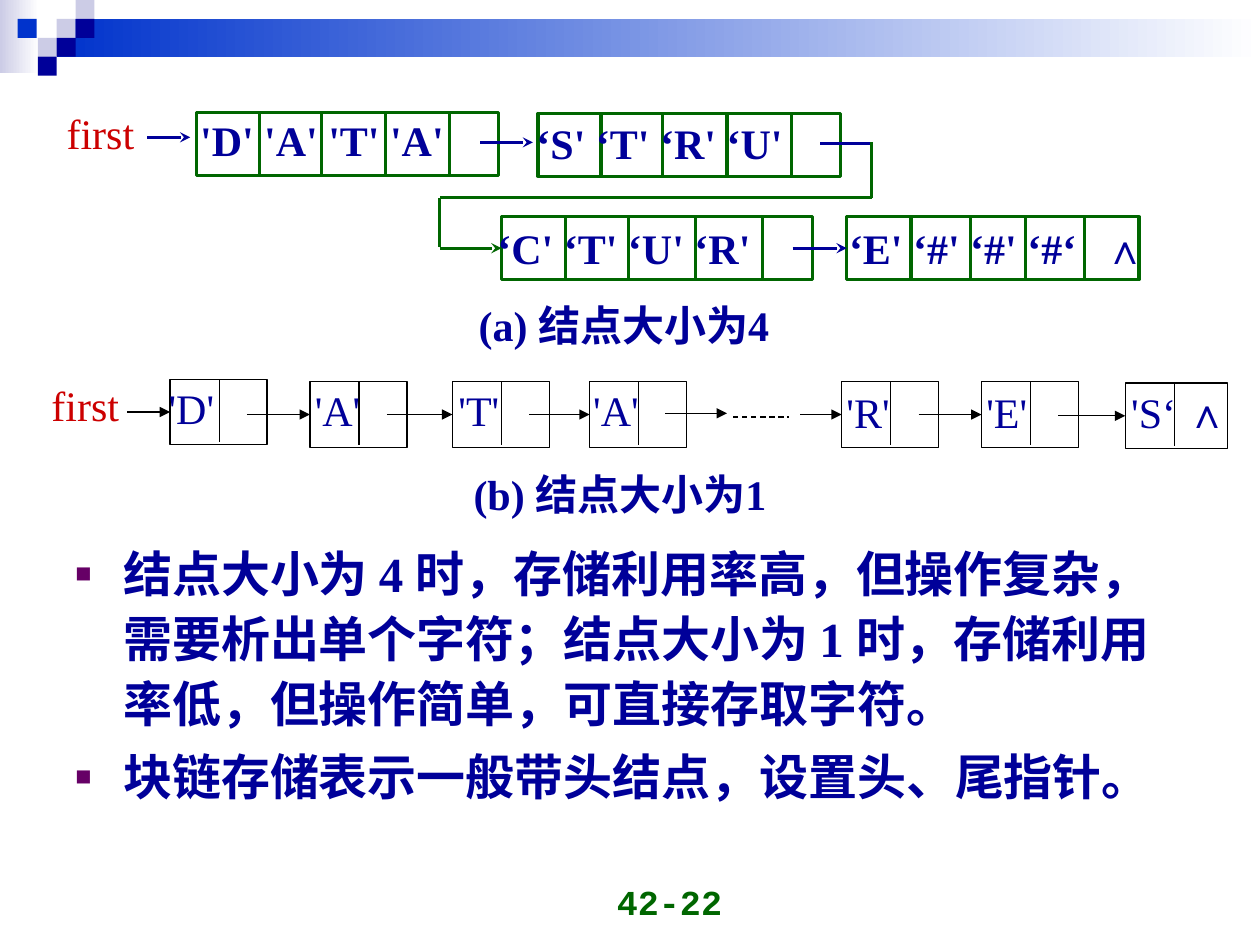
"""Build the slide comparing linked string storage with node sizes 4 and 1."""
from dataclasses import dataclass
from itertools import pairwise

from lxml.etree import SubElement
from pptx import Presentation
from pptx.dml.color import RGBColor
from pptx.enum.dml import MSO_LINE
from pptx.enum.shapes import MSO_CONNECTOR, MSO_SHAPE
from pptx.enum.text import MSO_ANCHOR, PP_ALIGN
from pptx.oxml.ns import qn
from pptx.util import Inches, Pt


@dataclass(frozen=True)
class Theme:
    navy: str = "000099"
    blue: str = "0033CC"
    lilac: str = "CCCCE6"
    green: str = "006600"
    red: str = "CC0000"
    purple: str = "660066"
    black: str = "000000"
    white: str = "FFFFFF"
    serif: str = "Times New Roman"
    sans: str = "Arial"
    mono: str = "Courier New"
    label_size: float = 24
    body_size: float = 28
    page_size: float = 20
    thin: float = 0.75
    thick: float = 1.75


class SlideBuilder:
    def __init__(self, slide, theme):
        self.slide = slide
        self.theme = theme

    def rect(self, left, top, width, height, fill=None, fade=None, line=None, weight=0.75):
        shape = self.slide.shapes.add_shape(
            MSO_SHAPE.RECTANGLE, Inches(left), Inches(top), Inches(width), Inches(height))
        shape.shadow.inherit = False
        if fade:
            shape.fill.gradient()
            shape.fill.gradient_angle = 0
            for position, (stop, color) in enumerate(zip(shape.fill.gradient_stops, fade)):
                stop.position = position
                stop.color.rgb = RGBColor.from_string(color)
        elif fill:
            shape.fill.solid()
            shape.fill.fore_color.rgb = RGBColor.from_string(fill)
        else:
            shape.fill.background()
        if line:
            shape.line.color.rgb = RGBColor.from_string(line)
            shape.line.width = Pt(weight)
        else:
            shape.line.fill.background()
        return shape

    def line(self, start, end, color, weight, head=None, dash=None, target=None):
        connector = self.slide.shapes.add_connector(
            MSO_CONNECTOR.STRAIGHT, *map(Inches, start), *map(Inches, end))
        connector.line.color.rgb = RGBColor.from_string(color)
        connector.line.width = Pt(weight)
        if dash:
            connector.line.dash_style = dash
        if head:
            SubElement(connector.line._get_or_add_ln(), qn("a:tailEnd"), type=head)
        SubElement(connector._element.spPr, qn("a:effectLst"))
        if target is not None:
            connector.end_connect(target, 1)

    def arrow_into(self, target, left, color, weight, head):
        middle = (target.top + target.height / 2) / Inches(1)
        self.line((left, middle), (target.left / Inches(1), middle), color, weight, head,
                  target=target)

    def text(self, left, top, width, height, runs, color=None, bold=False, font=None,
             size=None, align=PP_ALIGN.JUSTIFY, anchor=MSO_ANCHOR.TOP, tab=None):
        box = self.slide.shapes.add_textbox(
            Inches(left), Inches(top), Inches(width), Inches(height))
        frame = box.text_frame
        frame.word_wrap = True
        frame.vertical_anchor = anchor
        paragraph = frame.paragraphs[0]
        paragraph.alignment = align
        if tab:
            stops = SubElement(paragraph._p.get_or_add_pPr(), qn("a:tabLst"))
            SubElement(stops, qn("a:tab"), pos=str(Inches(tab)), algn="l")
        for words in runs:
            run = paragraph.add_run()
            run.text = words
            null_mark = words == "∧"
            run.font.name = self.theme.sans if null_mark else font or self.theme.serif
            run.font.size = Pt(size or self.theme.label_size)
            run.font.bold = bold or null_mark
            run.font.color.rgb = RGBColor.from_string(color or self.theme.navy)

    def bullets(self, left, top, width, height, points):
        theme = self.theme
        box = self.slide.shapes.add_textbox(
            Inches(left), Inches(top), Inches(width), Inches(height))
        frame = box.text_frame
        frame.word_wrap = True
        frame.text = "\n".join(points)
        for index, paragraph in enumerate(frame.paragraphs):
            paragraph.line_spacing = 1.1
            if index:
                paragraph.space_before = Pt(5.2)
            properties = paragraph._p.get_or_add_pPr()
            properties.set("marL", str(Inches(0.38)))
            properties.set("indent", str(Inches(-0.38)))
            SubElement(SubElement(properties, qn("a:buClr")), qn("a:srgbClr"), val=theme.purple)
            SubElement(properties, qn("a:buSzPct"), val="55000")
            SubElement(properties, qn("a:buFont"), typeface=theme.sans)
            SubElement(properties, qn("a:buChar"), char="■")
            for run in paragraph.runs:
                run.font.name = theme.serif
                run.font.size = Pt(theme.body_size)
                run.font.bold = True
                run.font.color.rgb = RGBColor.from_string(theme.navy)

    def block(self, left, top, width, dividers, text_left, text_top, runs, tab=None):
        theme = self.theme
        outline = self.rect(left, top, width, 0.5, line=theme.green, weight=theme.thick)
        for offset in dividers:
            self.line((left + offset, top), (left + offset, top + 0.5), theme.green, theme.thick)
        self.text(text_left, text_top, 2.6, 0.64, runs, bold=True, tab=tab)
        return outline

    def node(self, left, top, width, text_left, text_top, text_width, runs):
        theme = self.theme
        outline = self.rect(left, top, width, 0.52, fill=theme.white, line=theme.black,
                            weight=theme.thin)
        self.line((left + 0.39, top), (left + 0.39, top + 0.5), theme.black, theme.thin)
        self.text(text_left, text_top, text_width, 0.64, runs)
        return outline


def draw_banner(builder):
    theme = builder.theme
    builder.rect(0, 0, 0.31, 0.58, fade=(theme.lilac, theme.white))
    builder.rect(0.45, 0.15, 9.55, 0.3, fade=(theme.blue, theme.white))
    for left, top, color in (
            (0.45, 0.15, theme.lilac), (0.6, 0, theme.lilac), (0.6, 0.15, theme.navy),
            (0.3, 0.3, theme.lilac), (0.14, 0.15, theme.blue), (0.45, 0.3, theme.navy),
            (0.3, 0.45, theme.navy)):
        builder.rect(left, top, 0.15, 0.15, fill=color)


def draw_size_four(builder):
    theme = builder.theme
    even = (0.5, 0.99, 1.5, 2.01)
    builder.block(1.56, 0.89, 2.4, even, 1.49, 0.86, ["'D' 'A' 'T' 'A'"])
    builder.block(4.27, 0.9, 2.4, even, 4.16, 0.88, ["‘S' ‘T' ‘R' ‘U'"])
    third = builder.block(3.98, 1.72, 2.47, (0.51, 1.01, 1.54, 2.07), 3.85, 1.72,
                          ["‘C' ‘T' ‘U' ‘R'"])
    fourth = builder.block(6.72, 1.72, 2.32, (0.51, 0.98, 1.42, 1.89), 6.64, 1.72,
                           ["‘E' ‘#' ‘#' ‘#‘\t", "∧"], tab=2.03)
    builder.text(0.43, 0.8, 1.09, 0.68, ["first"], theme.red)
    builder.line((1.17, 1.09), (1.51, 1.09), theme.navy, theme.thick, "stealth")
    builder.line((3.81, 1.13), (4.23, 1.13), theme.navy, theme.thick, "stealth")
    builder.line((6.51, 1.14), (6.93, 1.14), theme.navy, theme.thick)
    for start, end in pairwise([(6.92, 1.13), (6.92, 1.57), (3.49, 1.57), (3.49, 1.96)]):
        builder.line(start, end, theme.green, theme.thick)
    builder.arrow_into(third, 3.49, theme.green, theme.thick, "stealth")
    builder.arrow_into(fourth, 6.29, theme.navy, theme.thick, "stealth")
    builder.text(3.7, 2.33, 2.83, 0.66, ["(a) 结点大小为4"], bold=True)


def draw_size_one(builder):
    theme = builder.theme
    stroke = (theme.black, theme.thin, "triangle")
    head_chain = [builder.node(*spec_row) for spec_row in (
        (1.35, 3.01, 0.77, 1.24, 2.99, 0.71, ["'D'"]),
        (2.46, 3.03, 0.77, 2.4, 3, 0.67, ["'A'"]),
        (3.59, 3.03, 0.77, 3.54, 3, 0.71, ["'T'"]),
        (4.68, 3.03, 0.77, 4.61, 3, 0.72, ["'A'"]))]
    tail_chain = [builder.node(*spec_row) for spec_row in (
        (6.68, 3.03, 0.77, 6.62, 3.02, 0.7, ["'R'"]),
        (7.79, 3.03, 0.77, 7.73, 3.02, 0.68, ["'E'"]),
        (8.93, 3.04, 0.81, 8.88, 3.02, 1, ["'S‘ ", "∧"]))]
    for chain, entry in ((head_chain, 1.01), (tail_chain, 6.35)):
        builder.arrow_into(chain[0], entry, *stroke)
        for source, target in pairwise(chain):
            builder.arrow_into(target, source.left / Inches(1) + 0.61, *stroke)
    builder.line((5.28, 3.28), (5.77, 3.28), *stroke)
    builder.line((5.82, 3.31), (6.26, 3.31), theme.black, theme.thin, dash=MSO_LINE.DASH)
    builder.text(0.31, 2.96, 1.09, 0.68, ["first"], theme.red)
    builder.text(3.66, 3.67, 2.95, 0.66, ["(b) 结点大小为1"], bold=True)


def main():
    deck = Presentation()
    deck.slide_width, deck.slide_height = Inches(10), Inches(7.5)
    theme = Theme()
    builder = SlideBuilder(deck.slides.add_slide(deck.slide_layouts[6]), theme)
    draw_banner(builder)
    draw_size_four(builder)
    draw_size_one(builder)
    builder.bullets(0.5, 4.22, 9, 2.6, [
        "结点大小为 4 时，存储利用率高，但操作复杂，需要析出单个字符；"
        "结点大小为 1 时，存储利用率低，但操作简单，可直接存取字符。",
        "块链存储表示一般带头结点，设置头、尾指针。"])
    builder.text(3.5, 6.87, 2.33, 0.5, ["42-22"], theme.green, True, theme.mono,
                 theme.page_size, PP_ALIGN.RIGHT, MSO_ANCHOR.BOTTOM)
    deck.save("out.pptx")


if __name__ == "__main__":
    main()
